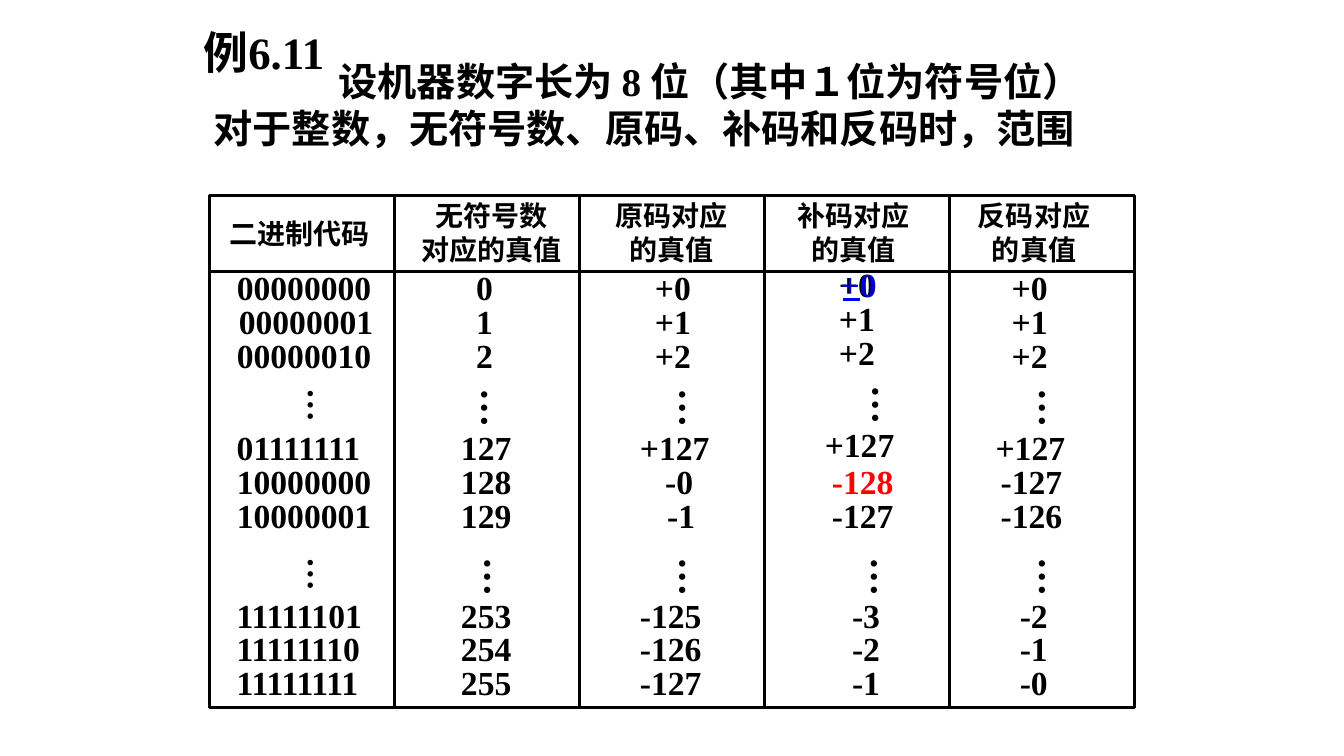
from pptx import Presentation
from pptx.dml.color import RGBColor
from pptx.enum.shapes import MSO_CONNECTOR as Link, MSO_SHAPE as Preset
from pptx.enum.text import MSO_AUTO_SIZE as Fit, PP_ALIGN as Align
from pptx.oxml.ns import qn
from pptx.util import Inches, Pt
from lxml import etree

BLACK, RED, NAVY, BLUE = "000000", "FF0000", "0000CC", "0000FF"
COLUMN_COUNT = 5
HEADER_HEIGHT = 0.75
VALUE_HEIGHT = 0.5
# Tops of the three runs of values, and of the dots between them
RUN_TOPS, ROW_PITCH = (2.6, 4.19, 5.85), 0.335
DOT_TOPS = (3.76, 5.43)

# Heading with its box inside the column: lines, left, top, width, height
HEADINGS = [
    (["二进制代码"], 0.09, 0.16, 1.6, 0.43),
    (["无符号数", "对应的真值"], 0.16, -0.02, 1.6, 0.77),
    (["原码对应", "的真值"], 0.25, -0.02, 1.32, 0.77),
    (["补码对应", "的真值"], 0.22, -0.02, 1.32, 0.77),
    (["反码对应", "的真值"], 0.18, -0.02, 1.32, 0.77),
]

# Values by column, as (indent, values) in reading order
VALUES = [
    [(0.17, "00000000"), (0.19, "00000001"),
     (0.17, "00000010 01111111 10000000 10000001 11111101 11111110 11111111")],
    [(0.71, "0 1 2"), (0.56, "127 128 129 253 254 255")],
    [(0.65, "+0 +1 +2"), (0.5, "+127"), (0.75, "-0"), (0.77, "-1"),
     (0.5, "-125 -126 -127")],
    [(0.64, "+0 +1 +2"), (0.5, "+127"), (0.57, "-128 -127"), (0.77, "-3 -2 -1")],
    [(0.52, "+0 +1 +2"), (0.36, "+127"), (0.41, "-127 -126"), (0.6, "-2 -1 -0")],
]
DOT_INDENTS = [(0.75, 0.75), (0.63, 0.66), (0.76, 0.76), (0.84, 0.83), (0.66, 0.66)]
RAISED_COLUMN, RAISE = 3, 0.03


def color(value):
    return RGBColor.from_string(value)


def add_text(slide, box, lines, size, ink=BLACK, align=Align.LEFT,
             wrap=False, first_indent=0, vertical=False):
    text_box = slide.shapes.add_textbox(*map(Inches, box))
    frame = text_box.text_frame
    frame.word_wrap = wrap
    frame.auto_size = Fit.SHAPE_TO_FIT_TEXT
    if vertical:
        text_box._element.txBody.bodyPr.set("vert", "eaVert")
    frame.text = "\n".join(lines)
    for paragraph in frame.paragraphs:
        paragraph.alignment = align
        for run in paragraph.runs:
            run.font.color.rgb = color(ink)
            formats = {"name": "Times New Roman", "size": Pt(size), "bold": True}
            for attribute, value in formats.items():
                setattr(run.font, attribute, value)
    if first_indent:
        properties = frame.paragraphs[0]._p.get_or_add_pPr()
        properties.set("indent", str(Inches(first_indent)))


def add_line(slide, x1, y1, x2, y2, ink=BLACK):
    line = slide.shapes.add_connector(Link.STRAIGHT, *map(Inches, (x1, y1, x2, y2)))
    line.line.color.rgb = color(ink)
    line.line.width = Pt(2.25)
    etree.SubElement(line._element.spPr, qn("a:effectLst"))


def value_width(value):
    """Box width: margins, digits and sign, less the kerning of paired ones."""
    digits = value.lstrip("+-")
    pairs = sum(a == b == "1" for a, b in zip(digits, digits[1:]))
    sign = {"+": 0.19, "-": 0.11}.get(value[0], 0)
    return 0.2 + len(digits) / 6 + sign - 0.015 * pairs


def add_question(slide, left, top):
    add_text(slide, (left, top, 1.54, 0.63), ["例6.11"], 32)
    add_text(slide, (left + 0.1, top + 0.32, 9.07, 1.04),
             ["设机器数字长为 8 位（其中１位为符号位）",
              "对于整数，无符号数、原码、补码和反码时，范围"],
             28, wrap=True, first_indent=1.24)


def add_grid(slide, left, top, width, height):
    frame = slide.shapes.add_shape(
        Preset.RECTANGLE, *map(Inches, (left, top, width, height)))
    frame.shadow.inherit = False
    frame.fill.background()
    frame.line.color.rgb = color(BLACK)
    frame.line.width = Pt(2.25)
    header_bottom = top + HEADER_HEIGHT
    add_line(slide, left, header_bottom, left + width, header_bottom)
    for index in range(1, COLUMN_COUNT):
        x = left + index * width / COLUMN_COUNT
        add_line(slide, x, top, x, top + height)


def add_column(slide, index, left, top):
    lines, dx, dy, width, height = HEADINGS[index]
    add_text(slide, (left + dx, top + dy, width, height), lines, 20,
             align=Align.CENTER)

    # Values, three to a run
    entries = [(indent, value) for indent, values in VALUES[index]
               for value in values.split()]
    for row, (indent, value) in enumerate(entries):
        raised = RAISE if index == RAISED_COLUMN and row < 4 else 0
        y = RUN_TOPS[row // 3] + row % 3 * ROW_PITCH - raised
        add_text(slide, (left + indent, y, value_width(value), VALUE_HEIGHT),
                 [value], 24, RED if value == "-128" else BLACK)

    # Dots between the runs, smaller beside the binary codes
    size, width, height = (24, 0.61, 0.44) if index == 0 else (28, 0.67, 0.49)
    for run, (indent, y) in enumerate(zip(DOT_INDENTS[index], DOT_TOPS)):
        raised = RAISE if index == RAISED_COLUMN and run == 0 else 0
        add_text(slide, (left + indent, y - raised, width, height), ["…"], size,
                 vertical=True)


def add_zero_mark(slide, left, top):
    """Blue zero with a bar below its plus sign."""
    add_text(slide, (left, top, value_width("+0"), VALUE_HEIGHT), ["+0"], 24, NAVY)
    add_line(slide, left + 0.12, top + 0.4, left + 0.29, top + 0.4, BLUE)


def add_code_table(slide, left, top, width, height):
    add_grid(slide, left, top, width, height)
    for index in range(COLUMN_COUNT):
        add_column(slide, index, left + index * width / COLUMN_COUNT, top)
    add_zero_mark(slide, left + 6.16, top + 0.63)


def main():
    deck = Presentation()
    deck.slide_width, deck.slide_height = Inches(13.33), Inches(7.5)
    slide = deck.slides.add_slide(deck.slide_layouts[6])
    add_question(slide, 1.92, 0.2)
    add_code_table(slide, 2.08, 1.94, 9.17, 5.08)
    deck.save("out.pptx")


if __name__ == "__main__":
    main()
